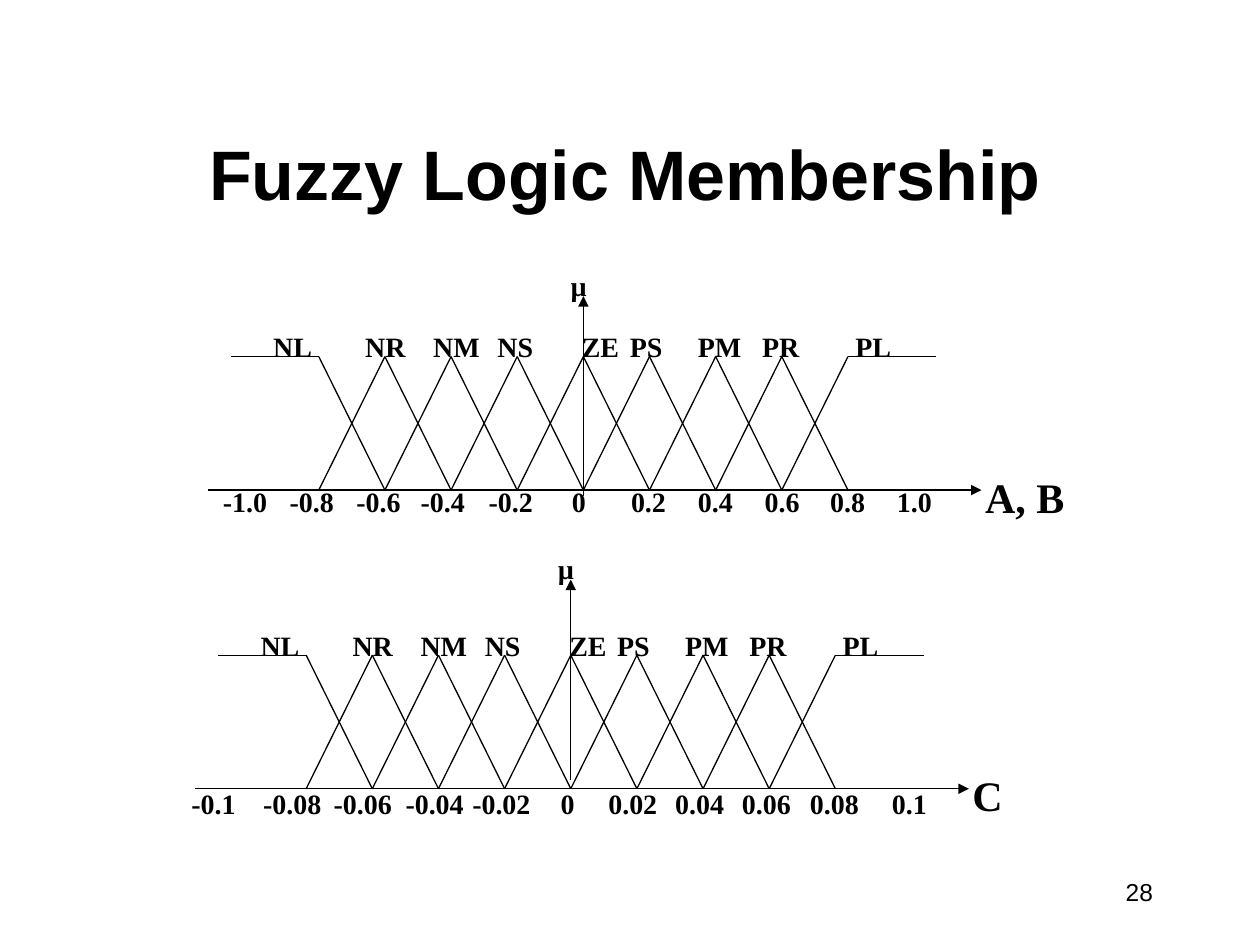
from dataclasses import dataclass

from lxml.etree import SubElement
from pptx import Presentation
from pptx.dml.color import RGBColor
from pptx.enum.shapes import MSO_CONNECTOR
from pptx.enum.text import MSO_ANCHOR, PP_ALIGN
from pptx.oxml.ns import qn
from pptx.util import Inches, Pt

BLACK = RGBColor(0, 0, 0)
SERIF = "Times New Roman"
SANS = "Arial"

SETS_PER_SIDE = 4
STEP = 2.1 / SETS_PER_SIDE
SHOULDER = 0.7

# Fuzzy set names with their left edge relative to the vertical axis
SET_LABELS = [("NL", -2.56), ("NR", -1.83), ("NM", -1.29), ("NS", -0.78),
              ("ZE", -0.11), ("PS", 0.27), ("PM", 0.81), ("PR", 1.32),
              ("PL", 2.06)]


@dataclass
class Plot:
    """One membership diagram; ticks are (text, left edge) pairs."""
    center: float
    top: float
    base: float
    axis_tip: float
    axis_foot: float
    variable: str
    tick_top: float
    ticks: list


PLOTS = [
    Plot(4.63, 2.83, 3.89, 2.35, 3.94, "A, B", 3.8,
         [("-1.0", 1.67), ("-0.8", 2.2), ("-0.6", 2.73), ("-0.4", 3.24),
          ("-0.2", 3.78), ("0", 4.44), ("0.2", 4.91), ("0.4", 5.44),
          ("0.6", 5.97), ("0.8", 6.49), ("1.0", 7.02)]),
    Plot(4.53, 5.2, 6.26, 4.6, 6.19, "C", 6.19,
         [("-0.1", 1.42), ("-0.08", 1.99), ("-0.06", 2.55), ("-0.04", 3.12),
          ("-0.02", 3.65), ("0", 4.35), ("0.02", 4.73), ("0.04", 5.26),
          ("0.06", 5.79), ("0.08", 6.33), ("0.1", 6.98)]),
]


def style(p, size, name, bold=True):
    p.font.size = Pt(size)
    p.font.name = name
    p.font.bold = bold
    p.font.color.rgb = BLACK


def add_title(s, text):
    title = s.shapes.title
    title.left, title.top = Inches(0.67), Inches(1)
    title.width, title.height = Inches(8.58), Inches(0.75)
    tf = title.text_frame
    tf.text = text
    tf.vertical_anchor = MSO_ANCHOR.BOTTOM
    p = tf.paragraphs[0]
    p.alignment = PP_ALIGN.CENTER
    style(p, 40, SANS)


def add_page_number(s, text):
    box = s.shapes.add_textbox(Inches(8.58), Inches(6.83), Inches(0.67), Inches(0.5))
    tf = box.text_frame
    tf.text = text
    tf.word_wrap = False
    tf.vertical_anchor = MSO_ANCHOR.MIDDLE
    p = tf.paragraphs[0]
    p.alignment = PP_ALIGN.RIGHT
    style(p, 14, SANS, bold=False)


def add_label(s, text, x, y, width=0.85, size=16):
    box = s.shapes.add_textbox(Inches(x), Inches(y), Inches(width), Inches(0.4))
    tf = box.text_frame
    tf.text = text
    tf.word_wrap = True
    style(tf.paragraphs[0], size, SERIF)


def add_line(s, x1, y1, x2, y2, arrow=False):
    line = s.shapes.add_connector(MSO_CONNECTOR.STRAIGHT, Inches(x1), Inches(y1),
                                  Inches(x2), Inches(y2))
    line.line.color.rgb = BLACK
    line.line.width = Pt(0.75)
    if arrow:
        SubElement(line.line._get_or_add_ln(), qn("a:tailEnd"), type="triangle")
    SubElement(line._element.spPr, qn("a:effectLst"))


def add_axes(s, plot):
    end = plot.center + 3.16
    add_line(s, plot.center, plot.axis_foot, plot.center, plot.axis_tip, arrow=True)
    add_line(s, plot.center - 2.98, plot.base, end, plot.base, arrow=True)
    add_label(s, "µ", plot.center - 0.2, plot.axis_tip - 0.27, 0.7)
    add_label(s, plot.variable, end - 0.07, plot.base - 0.2, 1.04, 24)
    for text, x in plot.ticks:
        add_label(s, text, x, plot.tick_top)


def add_membership_sets(s, plot):
    """Draw crossing slopes between neighbouring peaks, flat ends and set names."""
    for i in range(-SETS_PER_SIDE, SETS_PER_SIDE):
        x1 = plot.center + i * STEP
        x2 = x1 + STEP
        add_line(s, x1, plot.top, x2, plot.base)
        add_line(s, x1, plot.base, x2, plot.top)
    for side in (-1, 1):
        x = plot.center + side * SETS_PER_SIDE * STEP
        add_line(s, x, plot.top, x + side * SHOULDER, plot.top)
    for text, dx in SET_LABELS:
        add_label(s, text, plot.center + dx, plot.top - 0.26, 0.7)


def main():
    prs = Presentation()
    prs.slide_width, prs.slide_height = Inches(10), Inches(7.5)
    s = prs.slides.add_slide(prs.slide_layouts[5])
    add_title(s, "Fuzzy Logic Membership")
    add_page_number(s, "28")
    for plot in PLOTS:
        add_axes(s, plot)
        add_membership_sets(s, plot)
    prs.save("out.pptx")


if __name__ == "__main__":
    main()
